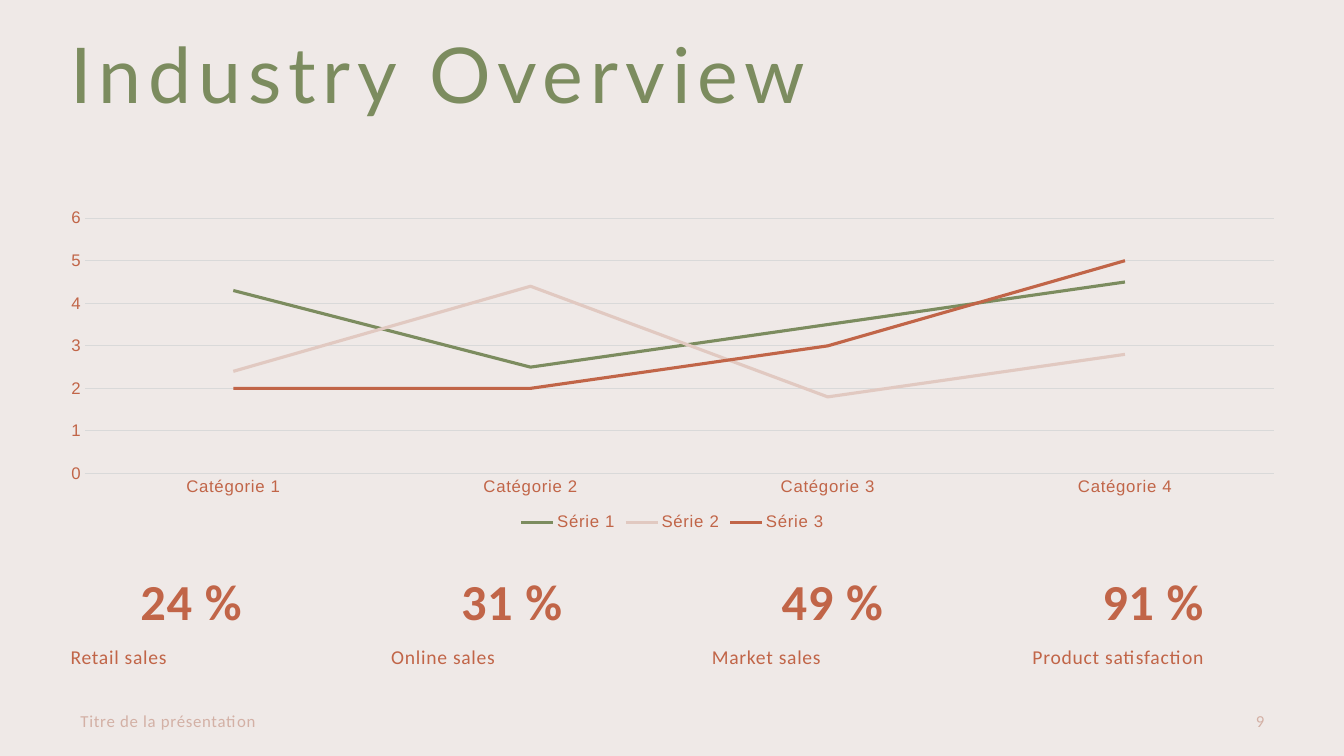
from pptx import Presentation
from pptx.chart.data import CategoryChartData
from pptx.dml.color import RGBColor
from pptx.enum.chart import XL_CHART_TYPE as ChartType, XL_LEGEND_POSITION as LegendPosition
from pptx.enum.chart import XL_MARKER_STYLE as MarkerStyle, XL_TICK_MARK as TickMark
from pptx.enum.text import MSO_ANCHOR as Anchor, PP_ALIGN as Align
from pptx.util import Inches, Pt

BACKGROUND = "EFE9E7"
GREEN = "7C8C5F"
PINK = "E1C9C1"
RUST = "C16548"
MUTED = "D3B0A5"
GRID = "D9D9D9"


def color(value):
    return RGBColor.from_string(value)


class SlideBuilder:
    text_font = "Calibri"
    chart_font = "Arial"

    def __init__(self, page):
        self.page = page
        page.background.fill.solid()
        page.background.fill.fore_color.rgb = color(BACKGROUND)

    def text(self, words, left, top, width, height, size, shade, font=text_font, bold=False,
             spacing=0.5, align=Align.LEFT, anchor=Anchor.TOP, line=1.0, inset=0):
        box = self.page.shapes.add_textbox(
            Inches(left), Inches(top), Inches(width), Inches(height))
        frame = box.text_frame
        frame.word_wrap = True
        frame.vertical_anchor = anchor
        frame.margin_left = frame.margin_right = Inches(inset)
        frame.margin_top = frame.margin_bottom = Inches(inset / 2)
        para = frame.paragraphs[0]
        para.alignment = align
        para.line_spacing = line
        span = para.add_run()
        span.text = words
        span.font.name = font
        span.font.size = Pt(size)
        span.font.bold = bold
        span.font.color.rgb = color(shade)
        span.font._element.set("spc", str(int(spacing * 100)))

    def chart_text(self, font):
        font.name = self.chart_font
        font.size = Pt(12)
        font.color.rgb = color(RUST)
        font._element.set("spc", "50")

    def line(self, target, shade, width):
        target.color.rgb = color(shade)
        target.width = Pt(width)

    def line_chart(self, categories, series, left, top, width, height):
        data = CategoryChartData()
        data.categories = categories
        for name, values, shade in series:
            data.add_series(name, values)
        chart = self.page.shapes.add_chart(
            ChartType.LINE, Inches(left), Inches(top), Inches(width), Inches(height), data).chart
        self.chart_text(chart.font)
        chart.has_title = False
        chart.has_legend = True
        chart.legend.position = LegendPosition.BOTTOM
        chart.legend.include_in_layout = False
        self.chart_text(chart.legend.font)
        for axis in (chart.category_axis, chart.value_axis):
            axis.major_tick_mark = axis.minor_tick_mark = TickMark.NONE
            self.chart_text(axis.tick_labels.font)
        self.line(chart.category_axis.format.line, GRID, 0.75)
        values_axis = chart.value_axis
        values_axis.minimum_scale, values_axis.maximum_scale = 0, 6
        values_axis.major_unit = 1
        values_axis.format.line.fill.background()
        values_axis.has_major_gridlines = True
        self.line(values_axis.major_gridlines.format.line, GRID, 0.75)
        chart.plots[0].vary_by_categories = False
        for plotted, (name, values, shade) in zip(chart.plots[0].series, series):
            plotted.smooth = False
            plotted.marker.style = MarkerStyle.NONE
            self.line(plotted.format.line, shade, 2.25)


def main():
    deck = Presentation()
    deck.slide_width, deck.slide_height = Inches(13.33), Inches(7.5)
    slide = SlideBuilder(deck.slides.add_slide(deck.slide_layouts[6]))

    slide.text("Industry Overview", 0.7, 0.37, 11.94, 1.7, 55, GREEN,
               font="Lato", spacing=5, line=0.9)
    slide.line_chart(
        ["Catégorie 1", "Catégorie 2", "Catégorie 3", "Catégorie 4"],
        [("Série 1", (4.3, 2.5, 3.5, 4.5), GREEN),
         ("Série 2", (2.4, 4.4, 1.8, 2.8), PINK),
         ("Série 3", (2, 2, 3, 5), RUST)],
        0.46, 2.01, 12.42, 3.3)

    figures = [("24 %", "Retail sales"), ("31 %", "Online sales"),
               ("49 %", "Market sales"), ("91 %", "Product satisfaction")]
    for column, (share, label) in enumerate(figures):
        left = 0.7 + 3.18 * column
        slide.text(share, left, 5.72, 2.39, 0.54, 36, RUST, bold=True,
                   align=Align.CENTER, anchor=Anchor.MIDDLE, line=0.9)
        slide.text(label, left, 6.28, 2.39, 0.4, 14, RUST, line=1.5)

    slide.text("Titre de la présentation", 0.7, 6.95, 4.5, 0.4, 12, MUTED,
               anchor=Anchor.MIDDLE, inset=0.1)
    slide.text("9", 9.64, 6.95, 3, 0.4, 12, MUTED,
               align=Align.RIGHT, anchor=Anchor.MIDDLE, inset=0.1)
    deck.save("out.pptx")


if __name__ == "__main__":
    main()
